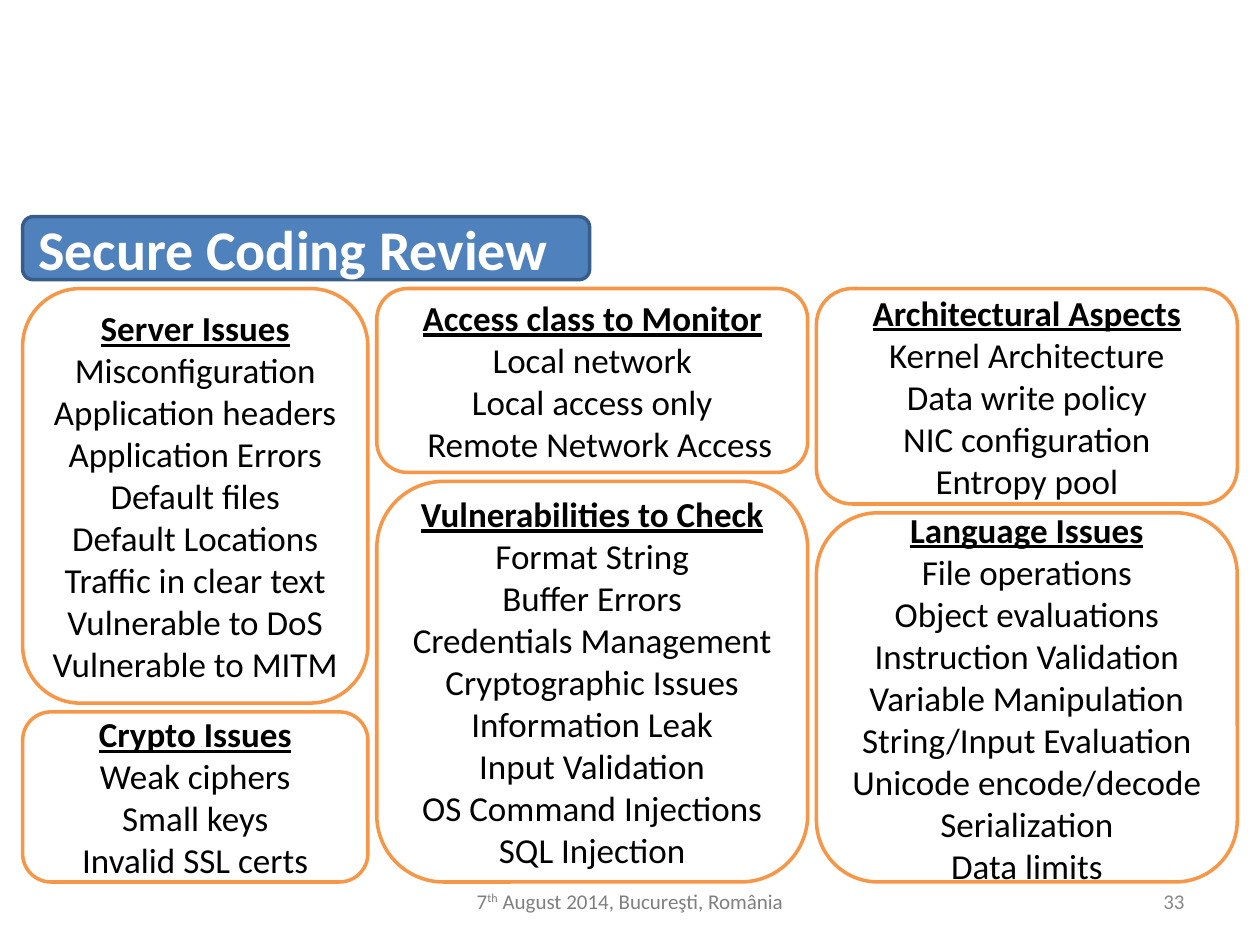
from pptx import Presentation
from pptx.dml.color import RGBColor
from pptx.enum import shapes, text
from pptx.util import Inches, Pt

ORANGE = RGBColor(0xF7, 0x96, 0x46)
BLUE = RGBColor(0x4F, 0x81, 0xBD)
NAVY = RGBColor(0x38, 0x5D, 0x8A)
BLACK = RGBColor(0, 0, 0)
WHITE = RGBColor(255, 255, 255)
DATE_GREY = RGBColor(0x7F, 0x7F, 0x7F)
NUMBER_GREY = RGBColor(0x89, 0x89, 0x89)
LEFT, CENTER, RIGHT = text.PP_ALIGN.LEFT, text.PP_ALIGN.CENTER, text.PP_ALIGN.RIGHT

TITLE = "Secure Coding Review"
DATE_RUNS = [("7", False), ("th", True), (" August 2014, Bucureşti, România", False)]
PAGE_NUMBER = "33"

# Each column: width, height of its upper card, then two cards (heading, items)
COLUMNS = [
    (2.74, 3.29, [
        ("Server Issues", ["Misconfiguration", "Application headers", "Application Errors",
                           "Default files", "Default Locations", "Traffic in clear text",
                           "Vulnerable to DoS", "Vulnerable to MITM"]),
        ("Crypto Issues", ["Weak ciphers", "Small keys", "Invalid SSL certs"]),
    ]),
    (3.42, 1.46, [
        ("Access class to Monitor", ["Local network", "Local access only",
                                     "Remote Network Access"]),
        ("Vulnerabilities to Check", ["Format String", "Buffer Errors", "Credentials Management",
                                      "Cryptographic Issues", "Information Leak",
                                      "Input Validation", "OS Command Injections",
                                      "SQL Injection"]),
    ]),
    (3.34, 1.71, [
        ("Architectural Aspects", ["Kernel Architecture", "Data write policy",
                                   "NIC configuration", "Entropy pool"]),
        ("Language Issues", ["File operations", "Object evaluations", "Instruction Validation",
                             "Variable Manipulation", "String/Input Evaluation",
                             "Unicode encode/decode", "Serialization", "Data limits"]),
    ]),
]
INDENTS = {"Remote Network Access": 0.12}
MARGIN, CARDS_TOP, CARDS_BOTTOM, GAP = 0.18, 2.29, 7.0, 0.07


def add_text(paragraph, content, size=20, color=BLACK, bold=False, underline=False,
             superscript=False, align=CENTER):
    paragraph.alignment = align
    run = paragraph.add_run()
    run.text = content
    font = run.font
    font.name, font.size, font.bold, font.underline = "Calibri", Pt(size), bold, underline
    font.color.rgb = color
    if superscript:
        run._r.get_or_add_rPr().set("baseline", "30000")


def add_box(slide, left, top, width, height, line, fill=None):
    """Add a rounded box and return its text frame."""
    box = slide.shapes.add_shape(shapes.MSO_SHAPE.ROUNDED_RECTANGLE, Inches(left), Inches(top),
                                 Inches(width), Inches(height))
    box.shadow.inherit = False
    box.line.color.rgb = line
    box.line.width = Pt(2)
    if fill is None:
        box.fill.background()
    else:
        box.fill.solid()
        box.fill.fore_color.rgb = fill
    frame = box.text_frame
    frame.word_wrap = False
    frame.vertical_anchor = text.MSO_ANCHOR.MIDDLE
    return frame


def add_card(slide, left, top, width, height, heading, items):
    frame = add_box(slide, left, top, width, height, ORANGE)
    add_text(frame.paragraphs[0], heading, bold=True, underline=True)
    for item in items:
        paragraph = frame.add_paragraph()
        if item in INDENTS:
            paragraph._p.get_or_add_pPr().set("marL", str(Inches(INDENTS[item])))
        add_text(paragraph, item)


def add_footer(slide, left, width, runs, color, align):
    frame = slide.shapes.add_textbox(Inches(left), Inches(6.95), Inches(width),
                                     Inches(0.4)).text_frame
    frame.word_wrap = True
    frame.vertical_anchor = text.MSO_ANCHOR.MIDDLE
    for content, raised in runs:
        add_text(frame.paragraphs[0], content, size=12, color=color, superscript=raised,
                 align=align)


def main():
    deck = Presentation()
    deck.slide_width, deck.slide_height = Inches(10), Inches(7.5)
    slide = deck.slides.add_slide(deck.slide_layouts[6])

    add_footer(slide, 3.21, 3.58, DATE_RUNS, DATE_GREY, CENTER)
    add_footer(slide, 7.17, 2.33, [(PAGE_NUMBER, False)], NUMBER_GREY, RIGHT)

    left = MARGIN
    for width, upper_height, (upper, lower) in COLUMNS:
        lower_top = CARDS_TOP + upper_height + GAP
        add_card(slide, left, CARDS_TOP, width, upper_height, *upper)
        add_card(slide, left, lower_top, width, CARDS_BOTTOM - lower_top, *lower)
        left += width + GAP

    banner = add_box(slide, MARGIN, 1.72, 4.5, 0.5, NAVY, BLUE)
    banner.word_wrap = True
    add_text(banner.paragraphs[0], TITLE, size=32, color=WHITE, bold=True, align=LEFT)

    deck.save("out.pptx")


if __name__ == "__main__":
    main()
